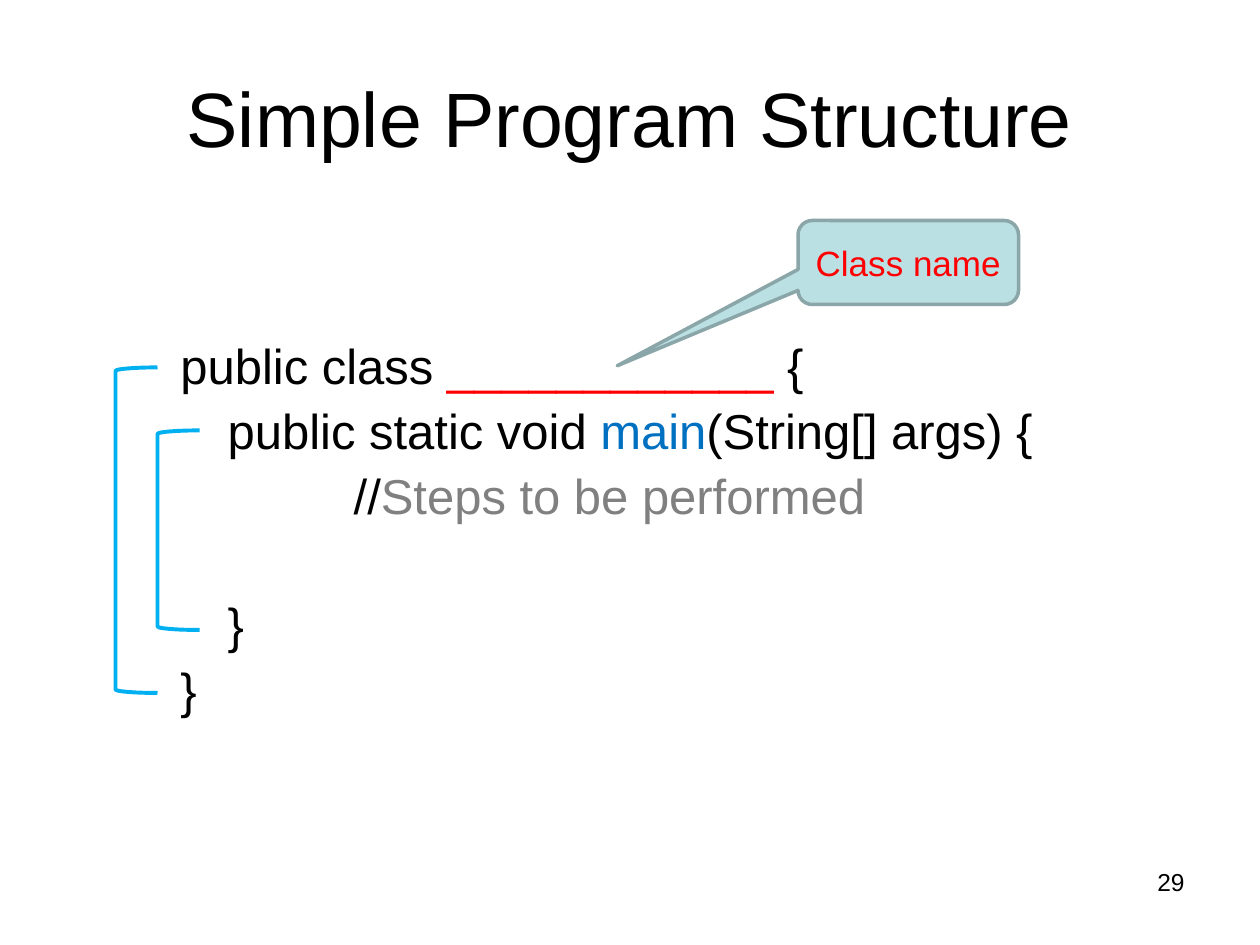
"""Build a slide that shows the structure of a simple program."""
import pptx
import pptx.dml.color
import pptx.enum.shapes
import pptx.enum.text
import pptx.util

Pt = pptx.util.Pt
RGBColor = pptx.dml.color.RGBColor
ALIGN = pptx.enum.text.PP_ALIGN
ANCHOR = pptx.enum.text.MSO_ANCHOR
SHAPE = pptx.enum.shapes.MSO_SHAPE

BLACK = RGBColor(0x00, 0x00, 0x00)
RED = RGBColor(0xFF, 0x00, 0x00)
BLUE = RGBColor(0x00, 0x70, 0xC0)
GRAY = RGBColor(0x80, 0x80, 0x80)
PALE_TEAL = RGBColor(0xBB, 0xE0, 0xE3)
TEAL = RGBColor(0x8A, 0xA6, 0xA8)
SKY = RGBColor(0x00, 0xB0, 0xF0)


def format_font(font, size, color):
    font.name = "Arial"
    font.size = Pt(size)
    font.color.rgb = color


def set_text(shape, text, size, color, alignment, anchor):
    text_frame = shape.text_frame
    text_frame.word_wrap = True
    text_frame.vertical_anchor = anchor
    text_frame.text = text
    paragraph = text_frame.paragraphs[0]
    paragraph.alignment = alignment
    format_font(paragraph.runs[0].font, size, color)


presentation = pptx.Presentation()
presentation.slide_width = Pt(720)
presentation.slide_height = Pt(540)
slide = presentation.slides.add_slide(presentation.slide_layouts[6])
shapes = slide.shapes

title = shapes.add_textbox(Pt(36), Pt(21.6), Pt(648), Pt(90))
set_text(title, "Simple Program Structure", 44, BLACK, ALIGN.CENTER, ANCHOR.MIDDLE)

code_lines = [
    (0, 7, [("public class ", BLACK), ("____________", RED), (" {", BLACK)]),
    (27, 7, [("public static void ", BLACK), ("main", BLUE), ("(String[] args) {", BLACK)]),
    (99, 7, [("//", BLACK), ("Steps to be performed", GRAY)]),
    (27, 43, [("}", BLACK)]),
    (0, 7, [("}", BLACK)]),
]
code = shapes.add_textbox(Pt(96), Pt(192), Pt(588), Pt(290))
code.text_frame.word_wrap = True
for index, (indent, space_before, pieces) in enumerate(code_lines):
    paragraph = code.text_frame.add_paragraph() if index else code.text_frame.paragraphs[0]
    paragraph.line_spacing = 0.9
    paragraph.space_before = Pt(space_before)
    paragraph._p.get_or_add_pPr().set("marL", str(Pt(indent)))
    for text, color in pieces:
        run = paragraph.add_run()
        run.text = text
        format_font(run.font, 28, color)

page_number = shapes.add_textbox(Pt(516), Pt(492), Pt(168), Pt(37.5))
set_text(page_number, "29", 14, BLACK, ALIGN.RIGHT, ANCHOR.TOP)

callout = shapes.add_shape(SHAPE.ROUNDED_RECTANGULAR_CALLOUT, Pt(456), Pt(126), Pt(126), Pt(48))
callout.shadow.inherit = False
for index, adjustment in enumerate((-1.32, 1.23, 0.17)):
    callout.adjustments[index] = adjustment
callout.fill.solid()
callout.fill.fore_color.rgb = PALE_TEAL
callout.line.color.rgb = TEAL
callout.line.width = Pt(2)
set_text(callout, "Class name", 20, RED, ALIGN.CENTER, ANCHOR.MIDDLE)

for left, top, height in ((66, 210, 186), (90, 246, 114)):
    bracket = shapes.add_shape(SHAPE.LEFT_BRACKET, Pt(left), Pt(top), Pt(24), Pt(height))
    bracket.shadow.inherit = False
    bracket.fill.background()
    bracket.line.color.rgb = SKY
    bracket.line.width = Pt(2.25)

presentation.save("out.pptx")
